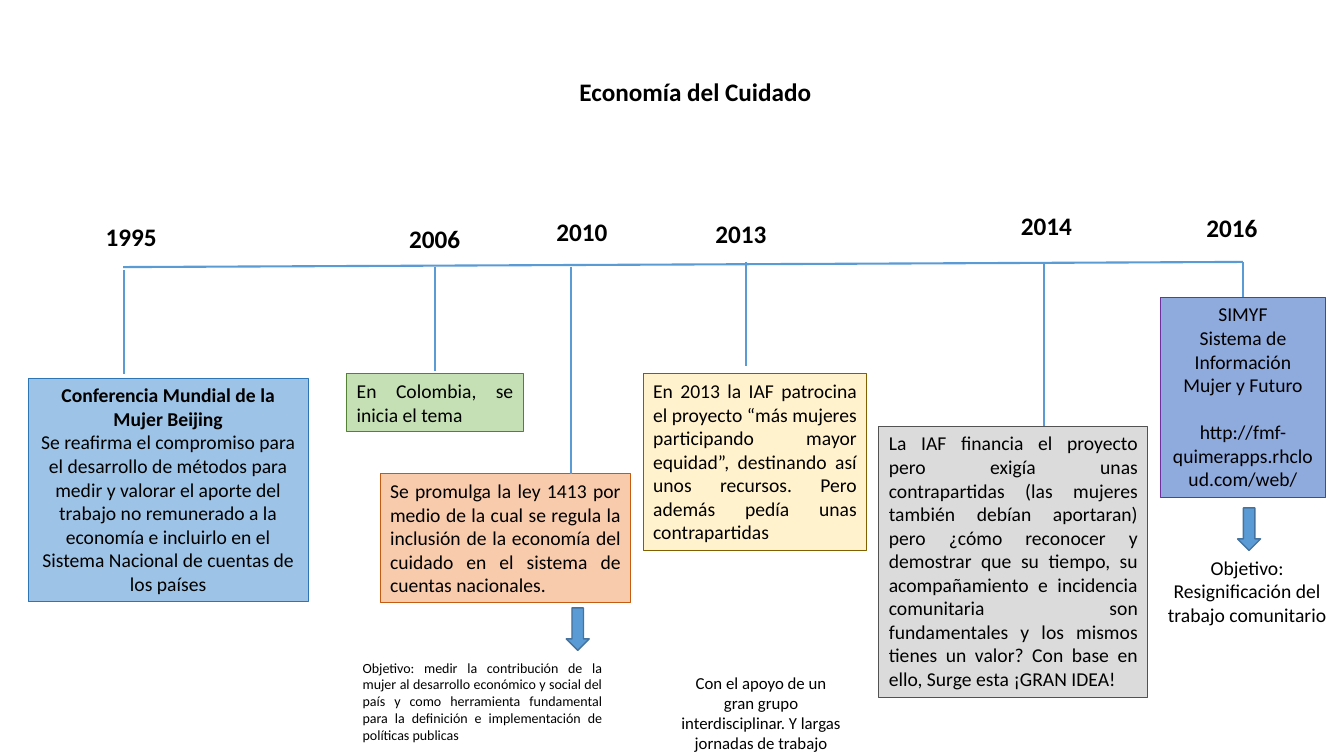
"""Build the Economía del Cuidado timeline slide."""
from dataclasses import dataclass

from lxml import etree
from pptx import Presentation
from pptx.dml.color import RGBColor
from pptx.enum.shapes import MSO_CONNECTOR, MSO_SHAPE
from pptx.enum.text import MSO_ANCHOR, MSO_AUTO_SIZE, PP_ALIGN
from pptx.oxml.ns import qn
from pptx.shapes.autoshape import Shape
from pptx.slide import Slide
from pptx.util import Cm, Pt

LEFT, CENTER, JUSTIFY = PP_ALIGN.LEFT, PP_ALIGN.CENTER, PP_ALIGN.JUSTIFY
TOP = MSO_ANCHOR.TOP
FIXED_SIZE = MSO_AUTO_SIZE.NONE
RECTANGLE, DOWN_ARROW = MSO_SHAPE.RECTANGLE, MSO_SHAPE.DOWN_ARROW
STRAIGHT = MSO_CONNECTOR.STRAIGHT


@dataclass(frozen=True)
class Theme:
    font: str = "Calibri"
    text: str = "000000"
    axis: str = "5B9BD5"
    arrow_edge: str = "43739E"
    heading: int = 18
    body: int = 14
    support: int = 12
    small: int = 10
    axis_width: float = 1.5
    arrow_width: float = 1
    border_width: float = 0.75


@dataclass(frozen=True)
class Area:
    left: float
    top: float
    width: float
    height: float

    def lengths(self) -> tuple[Cm, Cm, Cm, Cm]:
        return Cm(self.left), Cm(self.top), Cm(self.width), Cm(self.height)


@dataclass(frozen=True)
class Paragraph:
    text: str
    bold: bool = False
    space_before: float = 0


@dataclass(frozen=True)
class Milestone:
    year: str
    label_left: float
    label_top: float
    stem_x: float
    stem_top: float
    stem_bottom: float
    area: Area
    fill: str
    border: str
    align: PP_ALIGN
    paragraphs: tuple[Paragraph, ...]


@dataclass(frozen=True)
class Note:
    area: Area
    text: str
    size: int
    align: PP_ALIGN


THEME = Theme()
LABEL_WIDTH, LABEL_HEIGHT = 2, 1.02
ARROW_WIDTH, ARROW_HEIGHT = 0.58, 1.07
AXIS = (3.1, 6.73, 31.32, 6.6)
ARROWS = ((14.27, 15.32), (31.19, 12.8))

MILESTONES = (
    Milestone("1995", 2.41, 5.46, 3.12, 6.81, 9.42, Area(0.71, 9.53, 7.06, 5.64),
              "9DC3E6", "2E75B6", CENTER, (
                  Paragraph("Conferencia Mundial de la Mujer Beijing", bold=True),
                  Paragraph("Se reafirma el compromiso para el desarrollo de métodos para "
                            "medir y valorar el aporte del trabajo no remunerado a la economía "
                            "e incluirlo en el Sistema Nacional de cuentas de los países"))),
    Milestone("2006", 10.06, 5.49, 10.97, 6.73, 9.35, Area(8.74, 9.42, 4.45, 1.45),
              "C5E0B4", "548235", JUSTIFY, (Paragraph("En Colombia, se inicia el tema"),)),
    Milestone("2010", 13.77, 5.33, 14.4, 6.73, 11.94, Area(9.58, 11.94, 6.32, 3.25),
              "F8CBAD", "C55A11", JUSTIFY, (
                  Paragraph("Se promulga la ley 1413 por medio de la cual se regula la "
                            "inclusión de la economía del cuidado en el sistema de cuentas "
                            "nacionales."),)),
    Milestone("2013", 17.78, 5.36, 18.8, 6.6, 9.22, Area(16.21, 9.42, 5.64, 4.45),
              "FFF2CC", "806000", JUSTIFY, (
                  Paragraph("En 2013 la IAF patrocina el proyecto “más mujeres participando "
                            "mayor equidad”, destinando así unos recursos. Pero además pedía "
                            "unas contrapartidas"),)),
    Milestone("2014", 25.48, 5.18, 26.31, 6.65, 10.74, Area(22.15, 10.74, 6.78, 6.83),
              "DBDBDB", "525252", JUSTIFY, (
                  Paragraph("La IAF financia el proyecto pero exigía unas contrapartidas (las "
                            "mujeres también debían aportaran) pero ¿cómo reconocer y demostrar "
                            "que su tiempo, su acompañamiento e incidencia comunitaria son "
                            "fundamentales y los mismos tienes un valor? Con base en ello, "
                            "Surge esta ¡GRAN IDEA!"),)),
    Milestone("2016", 30.15, 5.23, 31.32, 6.6, 7.49, Area(29.24, 7.49, 4.17, 5.05),
              "8FAADC", "7030A0", CENTER, (
                  Paragraph("SIMYF"),
                  Paragraph("Sistema de Información Mujer y Futuro"),
                  Paragraph("http://fmf-quimerapps.rhcloud.com/web/", space_before=17))),
)

NOTES = (
    Note(Area(8.89, 16.48, 6.53, 2.39),
         "Objetivo: medir la contribución de la mujer al desarrollo económico y social del país "
         "y como herramienta fundamental para la definición e implementación de políticas "
         "publicas", THEME.small, JUSTIFY),
    Note(Area(16.87, 16.81, 4.62, 2.31),
         "Con el apoyo de un gran grupo interdisciplinar. Y largas jornadas de trabajo",
         THEME.support, CENTER),
    Note(Area(28.98, 13.87, 4.9, 2.06),
         "Objetivo: Resignificación del trabajo comunitario", THEME.body, CENTER),
)


def write_text(holder: Shape, *paragraphs: Paragraph, size: int = THEME.body,
               align: PP_ALIGN = LEFT) -> None:
    frame = holder.text_frame
    frame.word_wrap = True
    frame.auto_size = FIXED_SIZE
    frame.vertical_anchor = TOP
    frame.margin_left = frame.margin_right = Cm(0.25)
    frame.margin_top = frame.margin_bottom = Cm(0.13)
    for index, content in enumerate(paragraphs):
        line = frame.paragraphs[0] if index == 0 else frame.add_paragraph()
        line.alignment = align
        line.space_before = Pt(content.space_before)
        run = line.add_run()
        run.text = content.text
        run.font.name = THEME.font
        run.font.size = Pt(size)
        run.font.bold = content.bold
        run.font.color.rgb = RGBColor.from_string(THEME.text)


def add_text(slide: Slide, area: Area, content: Paragraph, size: int, align: PP_ALIGN) -> None:
    write_text(slide.shapes.add_textbox(*area.lengths()), content, size=size, align=align)


def add_filled(slide: Slide, kind: MSO_SHAPE, area: Area, fill: str, border: str,
               border_width: float) -> Shape:
    figure = slide.shapes.add_shape(kind, *area.lengths())
    figure.shadow.inherit = False
    figure.fill.solid()
    figure.fill.fore_color.rgb = RGBColor.from_string(fill)
    figure.line.color.rgb = RGBColor.from_string(border)
    figure.line.width = Pt(border_width)
    return figure


def add_line(slide: Slide, x1: float, y1: float, x2: float, y2: float) -> None:
    line = slide.shapes.add_connector(STRAIGHT, Cm(x1), Cm(y1), Cm(x2), Cm(y2))
    line.line.color.rgb = RGBColor.from_string(THEME.axis)
    line.line.width = Pt(THEME.axis_width)
    etree.SubElement(line._element.spPr, qn("a:effectLst"))


def add_title(slide: Slide, area: Area, text: str) -> None:
    title = slide.shapes.title
    title.left, title.top, title.width, title.height = area.lengths()
    write_text(title, Paragraph(text, bold=True), size=THEME.heading, align=CENTER)


def add_milestone(slide: Slide, event: Milestone) -> None:
    box = add_filled(slide, RECTANGLE, event.area, event.fill, event.border, THEME.border_width)
    write_text(box, *event.paragraphs, align=event.align)
    add_line(slide, event.stem_x, event.stem_top, event.stem_x, event.stem_bottom)
    label_area = Area(event.label_left, event.label_top, LABEL_WIDTH, LABEL_HEIGHT)
    add_text(slide, label_area, Paragraph(event.year, bold=True), THEME.heading, LEFT)


def main() -> None:
    deck = Presentation()
    deck.slide_width, deck.slide_height = Cm(33.87), Cm(19.05)
    slide = deck.slides.add_slide(deck.slide_layouts.get_by_name("Title Only"))
    add_title(slide, Area(8.18, 1.8, 18.69, 1.02), "Economía del Cuidado")
    add_line(slide, *AXIS)
    for event in MILESTONES:
        add_milestone(slide, event)
    for left, top in ARROWS:
        add_filled(slide, DOWN_ARROW, Area(left, top, ARROW_WIDTH, ARROW_HEIGHT),
                   THEME.axis, THEME.arrow_edge, THEME.arrow_width)
    for note in NOTES:
        add_text(slide, note.area, Paragraph(note.text), note.size, note.align)
    deck.save("out.pptx")


if __name__ == "__main__":
    main()
